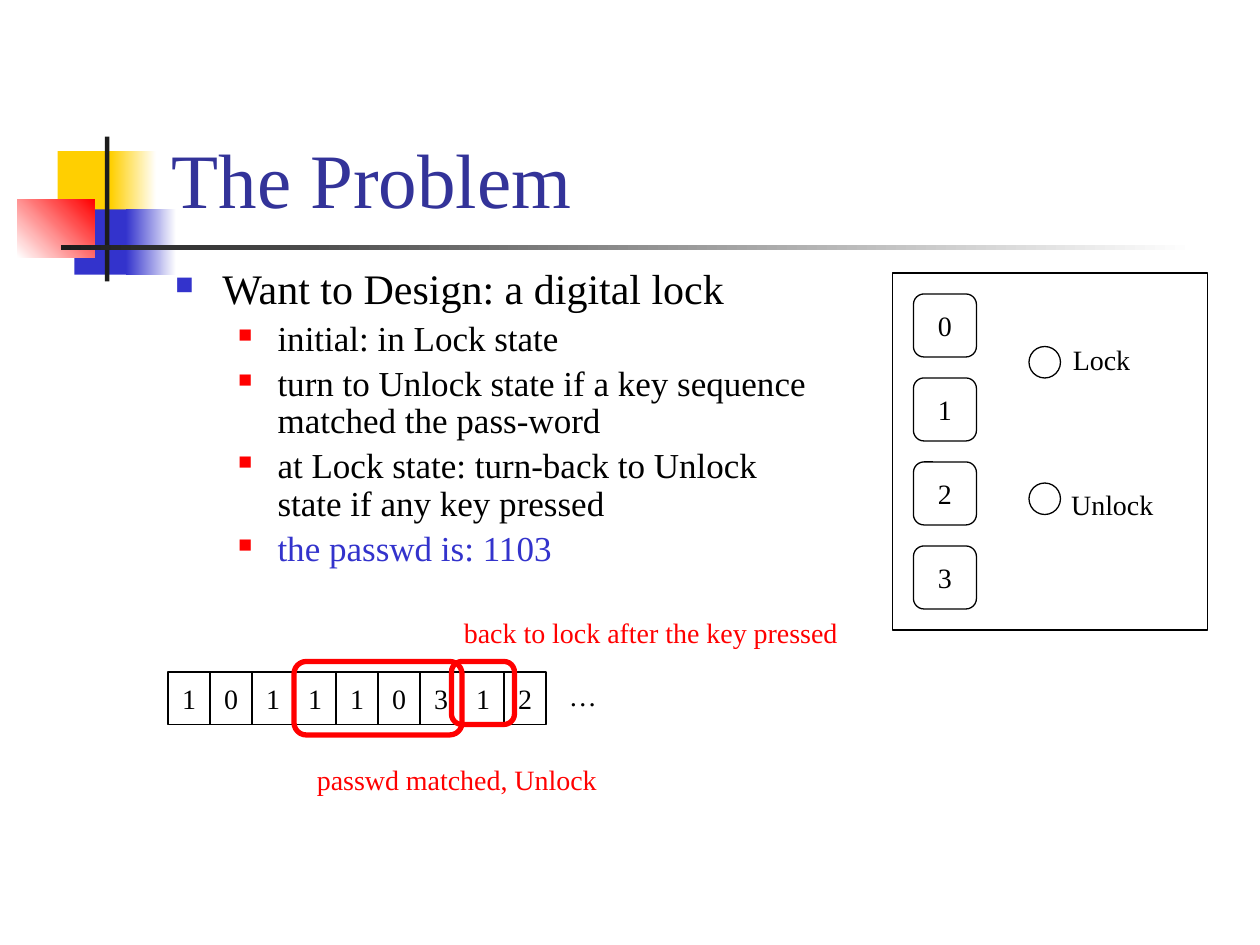
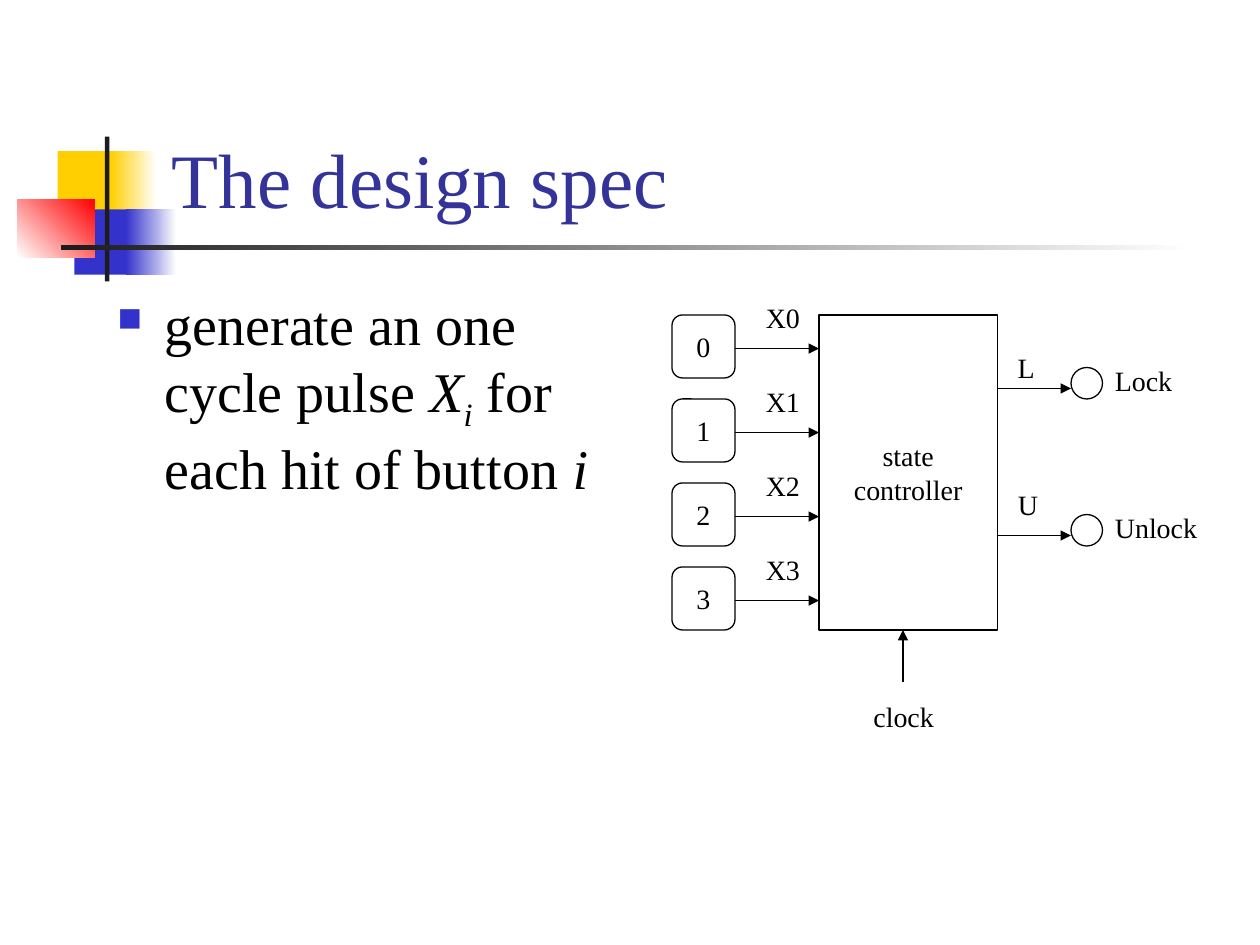
from lxml.etree import SubElement
from pptx import Presentation
from pptx.dml.color import RGBColor
from pptx.enum.shapes import MSO_CONNECTOR, MSO_SHAPE
from pptx.enum.text import MSO_ANCHOR, MSO_AUTO_SIZE, PP_ALIGN
from pptx.oxml.ns import qn
from pptx.util import Pt

FONT = "Times New Roman"
BLACK = RGBColor(0x00, 0x00, 0x00)
WHITE = RGBColor(0xFF, 0xFF, 0xFF)
CHARCOAL = RGBColor(0x1C, 0x1C, 0x1C)
YELLOW = RGBColor(0xFF, 0xCF, 0x01)
BLUE = RGBColor(0x33, 0x33, 0xCC)
RED = RGBColor(0xFF, 0x00, 0x00)
NAVY = RGBColor(0x33, 0x33, 0x99)

BUTTON_SIZE, BUTTON_PITCH, LAMP_SIZE = 36, 48, 18
CELL_WIDTH, CELL_HEIGHT = 24, 30

ORNAMENTS = [
    (33, 86.4, 34.5, 37.4, YELLOW, None, 0),
    (63.3, 86.4, 26, 37.4, YELLOW, WHITE, 0),
    (42.5, 119.6, 33, 37.4, BLUE, None, 0),
    (72, 119.6, 28.8, 37.4, BLUE, WHITE, 0),
    (10, 113.8, 44, 33.4, WHITE, RED, 45),
    (60, 78, 2.5, 82.8, CHARCOAL, None, 0),
    (34.8, 140.2, 648, 2.5, CHARCOAL, WHITE, 0),
]

LEVELS = [
    {"left": 27, "hang": 27, "bullet": BLUE, "percent": 60},
    {"left": 58.5, "hang": 22.5, "bullet": RED, "percent": 55},
]

CONTENT = [
    ("The Problem", (93, 150, 375, 210), 0.9, [
        (0, 24, BLACK, [("Want to Design: a digital lock", False, 0)]),
        (1, 20, BLACK, [("initial: in Lock state", False, 0)]),
        (1, 20, BLACK, [("turn to Unlock state if a key sequence matched the pass-word", False, 0)]),
        (1, 20, BLACK, [("at Lock state: turn-back to Unlock state if any key pressed", False, 0)]),
        (1, 20, BLUE, [("the passwd is: 1103", False, 0)]),
    ]),
    ("The design spec", (60, 162, 300, 132), 1.0, [
        (0, 32, BLACK, [
            ("generate an one cycle pulse ", False, 0),
            ("X", True, 0),
            ("i", True, -25000),
            (" for each hit of button ", False, 0),
            ("i", True, 0),
        ]),
    ]),
]


def add_outline(slide, kind, left, top, width, height, text="", color=BLACK, weight=0.75):
    outline = slide.shapes.add_shape(kind, Pt(left), Pt(top), Pt(width), Pt(height))
    outline.shadow.inherit = False
    outline.fill.background()
    outline.line.color.rgb = color
    outline.line.width = Pt(weight)
    if text:
        frame = outline.text_frame
        frame.word_wrap = False
        frame.vertical_anchor = MSO_ANCHOR.MIDDLE
        frame.text = text
        for paragraph in frame.paragraphs:
            paragraph.alignment = PP_ALIGN.CENTER
            paragraph.font.name = FONT
            paragraph.font.size = Pt(16)
            paragraph.font.color.rgb = BLACK


def add_label(slide, left, top, width, text, color=BLACK):
    frame = slide.shapes.add_textbox(Pt(left), Pt(top), Pt(width), Pt(26.6)).text_frame
    frame.word_wrap = False
    frame.auto_size = MSO_AUTO_SIZE.SHAPE_TO_FIT_TEXT
    frame.text = text
    font = frame.paragraphs[0].font
    font.name, font.size, font.color.rgb = FONT, Pt(16), color


deck = Presentation()
deck.slide_width, deck.slide_height = Pt(720), Pt(540)

for title, body_area, line_spacing, points in CONTENT:
    slide = deck.slides.add_slide(deck.slide_layouts[6])

    for left, top, width, height, start, end, angle in ORNAMENTS:
        ornament = slide.shapes.add_shape(MSO_SHAPE.RECTANGLE, Pt(left), Pt(top), Pt(width), Pt(height))
        ornament.shadow.inherit = False
        ornament.line.fill.background()
        if end is None:
            ornament.fill.solid()
            ornament.fill.fore_color.rgb = start
        else:
            ornament.fill.gradient()
            ornament.fill.gradient_angle = angle
            for stop, color in zip(ornament.fill.gradient_stops, (start, end)):
                stop.color.rgb = color

    heading = slide.shapes.add_textbox(Pt(91), Pt(16.5), Pt(613), Pt(115)).text_frame
    heading.word_wrap = True
    heading.vertical_anchor = MSO_ANCHOR.BOTTOM
    heading.text = title
    heading_font = heading.paragraphs[0].font
    heading_font.name, heading_font.size, heading_font.color.rgb = FONT, Pt(44), NAVY

    body = slide.shapes.add_textbox(*map(Pt, body_area)).text_frame
    body.word_wrap = True
    for index, (depth, size, color, runs) in enumerate(points):
        point = body.add_paragraph() if index else body.paragraphs[0]
        level = LEVELS[depth]
        point.level = depth
        point.line_spacing = line_spacing
        point.space_before = Pt(size * 0.2)
        properties = point._p.get_or_add_pPr()
        properties.set("marL", str(Pt(level["left"])))
        properties.set("indent", str(-Pt(level["hang"])))
        bullet_color = SubElement(properties, qn("a:buClr"))
        SubElement(bullet_color, qn("a:srgbClr"), val=str(level["bullet"]))
        SubElement(properties, qn("a:buSzPct"), val=str(level["percent"] * 1000))
        SubElement(properties, qn("a:buChar"), char="■")
        point.font.name, point.font.size, point.font.color.rgb = FONT, Pt(size), color
        for text, italic, baseline in runs:
            run = point.add_run()
            run.text = text
            if italic:
                run.font.italic = True
            if baseline:
                run.font._element.set("baseline", str(baseline))

problem, design = deck.slides

for slide, left, top in ((problem, 522, 168), (design, 384, 180)):
    for key in range(4):
        add_outline(slide, MSO_SHAPE.ROUNDED_RECTANGLE, left, top + key * BUTTON_PITCH,
                    BUTTON_SIZE, BUTTON_SIZE, str(key))

for slide, left, top, label_left, label_top, label_width, state in (
    (problem, 588, 198, 606, 192, 47.5, "Lock"),
    (problem, 588, 276, 605, 275, 62, "Unlock"),
    (design, 612, 210, 630, 204, 47.5, "Lock"),
    (design, 612, 294, 630, 288, 62, "Unlock"),
):
    add_outline(slide, MSO_SHAPE.OVAL, left, top, LAMP_SIZE, LAMP_SIZE)
    add_label(slide, label_left, label_top, label_width, state)

add_outline(problem, MSO_SHAPE.RECTANGLE, 510, 156, 180, 204)
for index, key in enumerate("101110312"):
    add_outline(problem, MSO_SHAPE.RECTANGLE, 96 + index * CELL_WIDTH, 384, CELL_WIDTH, CELL_HEIGHT, key)
add_label(problem, 318, 384, 30, "…")
add_outline(problem, MSO_SHAPE.ROUNDED_RECTANGLE, 168, 378, 96, 42, color=RED, weight=3)
add_label(problem, 174, 432, 175, "passwd matched, Unlock", RED)
add_outline(problem, MSO_SHAPE.ROUNDED_RECTANGLE, 258, 378, 36, 36, color=RED, weight=3)
add_label(problem, 258, 348, 229, "back to lock after the key pressed", RED)

add_outline(design, MSO_SHAPE.RECTANGLE, 468, 180, 102, 180, "state\ncontroller")
signals = [(420, 199.2 + key * BUTTON_PITCH, 468, 199.2 + key * BUTTON_PITCH,
            430.5, 168 + key * BUTTON_PITCH, 34, f"X{key}") for key in range(4)]
signals += [
    (570, 222, 612, 222, 574.5, 196.5, 24.5, "L"),
    (570, 306, 612, 306, 574.5, 275, 26, "U"),
    (516, 390, 516, 360, 492, 396, 49, "clock"),
]
for start_x, start_y, end_x, end_y, label_left, label_top, label_width, signal in signals:
    arrow = design.shapes.add_connector(MSO_CONNECTOR.STRAIGHT, Pt(start_x), Pt(start_y), Pt(end_x), Pt(end_y))
    arrow.line.color.rgb = BLACK
    arrow.line.width = Pt(0.75)
    SubElement(arrow.line._get_or_add_ln(), qn("a:tailEnd"), type="triangle")
    SubElement(arrow._element.spPr, qn("a:effectLst"))
    add_label(design, label_left, label_top, label_width, signal)

deck.save("out.pptx")
